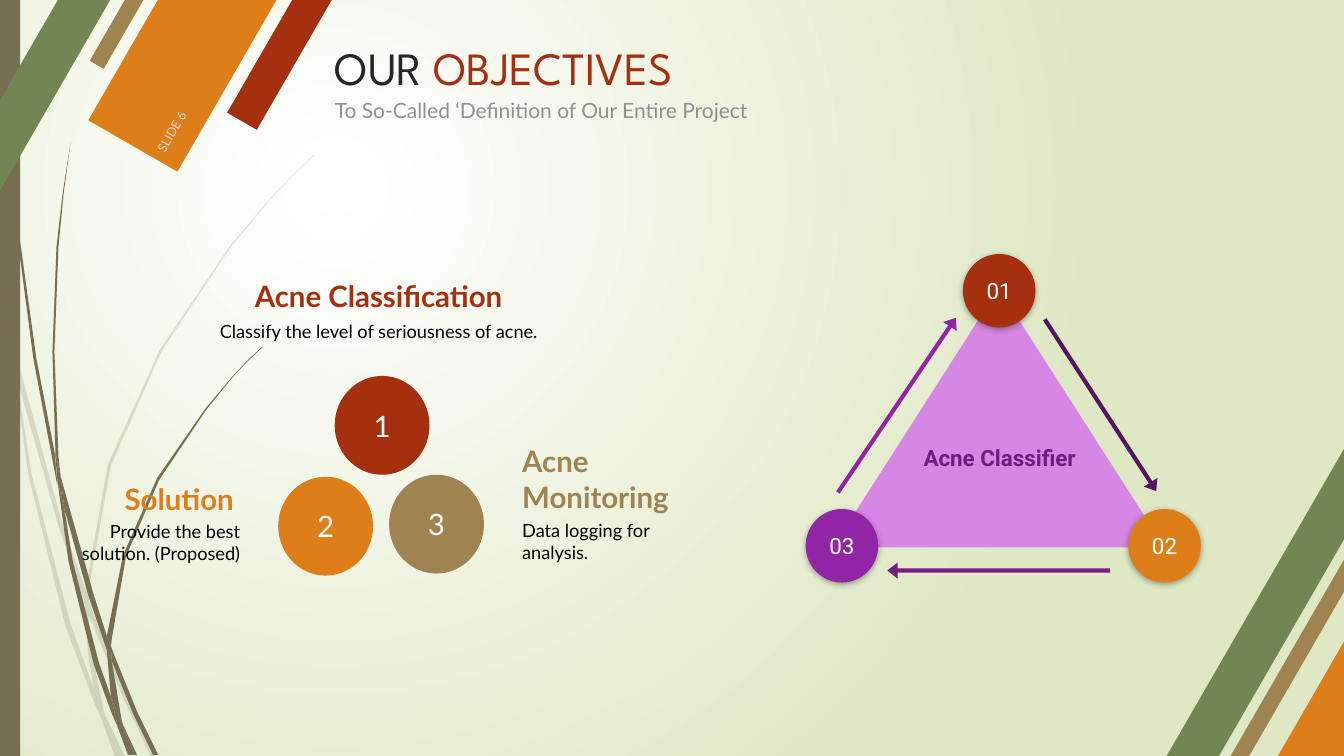
from lxml import etree
from pptx import Presentation
from pptx import util as u
from pptx.dml.color import RGBColor
from pptx.enum import shapes, text
from pptx.oxml import ns

PX = 9144
WIDE, HIGH = 1333, 750
RED, ORANGE, TAN, GREEN, BARK = "A53010", "DE7E18", "9F8351", "728653", "766F54"
PURPLE, BLACK, WHITE = "9225A5", "000000", "FFFFFF"
KIND = shapes.MSO_SHAPE
MID, TOP, LOW = text.MSO_ANCHOR.MIDDLE, text.MSO_ANCHOR.TOP, text.MSO_ANCHOR.BOTTOM
LEFT, MIDST, RIGHT = text.PP_ALIGN.LEFT, text.PP_ALIGN.CENTER, text.PP_ALIGN.RIGHT

FAINT = [
    [(11, 350), (9, 322), (0, 282), (0, 299), (10, 344)],
    [(58, 522), (84, 599), (85, 586), (62, 520), (14, 345), (17, 376)],
    [(92, 607), (88, 596), (88, 610), (123, 694), (150, 751), (155, 751), (127, 692)],
    [(119, 751), (124, 751), (105, 711)],
    [(93, 683), (70, 619), (31, 469), (17, 376), (11, 350), (28, 470), (65, 621),
     (92, 693), (101, 714), (99, 707)],
    [(84, 599), (87, 646), (93, 683), (96, 692), (105, 711), (103, 706), (91, 646),
     (88, 610), (88, 608)],
    [(88, 584), (110, 462), (160, 349), (229, 245), (268, 198), (290, 175), (312, 154),
     (312, 153), (289, 175), (268, 197), (228, 244), (158, 348), (107, 461), (85, 584),
     (85, 586), (88, 596)],
    [(101, 714), (114, 751), (119, 751)],
    [(88, 608), (88, 610), (88, 596), (85, 586), (84, 599)],
    [(96, 692), (93, 683), (99, 707), (101, 714), (119, 751), (105, 711)],
]
DARK = [
    [(7, 110), (17, 233), (33, 355), (56, 477), (57, 481), (55, 457), (55, 453), (36, 355),
     (19, 232), (8, 109), (5, 48), (4, 0), (3, 0), (4, 48)],
    [(88, 592), (106, 645), (106, 633), (106, 631), (93, 590), (60, 472), (64, 505)],
    [(113, 649), (110, 641), (111, 656), (132, 708), (152, 749), (157, 749), (136, 706)],
    [(110, 691), (98, 657), (72, 556), (64, 505), (57, 477), (68, 557), (93, 659),
     (111, 708), (117, 722), (116, 717)],
    [(60, 472), (58, 453), (54, 349), (58, 245), (63, 193), (70, 141), (62, 193),
     (56, 245), (52, 349), (55, 449)],
    [(133, 749), (136, 749), (122, 719)],
    [(57, 477), (64, 505), (60, 472), (55, 449), (55, 453)],
    [(111, 633), (125, 552), (158, 476), (205, 406), (231, 374), (245, 359), (261, 344),
     (260, 344), (245, 358), (231, 373), (204, 405), (156, 474), (122, 551), (106, 631),
     (110, 641)],
    [(117, 722), (127, 749), (131, 749)],
    [(106, 645), (110, 691), (116, 706), (122, 719), (121, 716), (111, 656), (109, 651)],
    [(106, 645), (109, 651), (111, 656), (110, 641), (106, 631), (106, 633)],
    [(116, 706), (110, 691), (116, 717), (117, 722), (130, 749), (133, 749), (122, 719)],
]
BARS = [
    (-95, -477, 1340, 34, RED), (-203, -486, 1339, 102, ORANGE),
    (-239, -524, 1340, 16, TAN), (-388, -364, 1337, 45, GREEN),
    (912, 257, 1339, 102, ORANGE), (860, 222, 1340, 16, TAN), (714, 382, 1337, 45, GREEN),
]
HEADS = [
    ((320, 30, 998, 72), [("OUR ", "262626"), ("OBJECTIVES", RED)], 33, "League Spartan",
     MID, 0, None),
    ((98, 44, 221, 40), [("SLIDE 6", "D8D8D8")], 9, "Lato", MID, 300, None),
    ((320, 89, 998, 39), [("To So-Called ‘Definition of Our Entire Project", "909090")],
     15, "Lato", TOP, 0, 1.07),
]
GOALS = [
    ("1", RED, (332, 373), MIDST, "Acne Classification", (178, 264, 395, 50),
     "Classify the level of seriousness of acne.", (198, 315, 355, 33)),
    ("2", ORANGE, (276, 473), RIGHT, "Solution ", (39, 465, 207, 50),
     "Provide the best solution. (Proposed)", (38, 513, 207, 62)),
    ("3", TAN, (386, 471), LEFT, "Acne Monitoring", (511, 463, 207, 50),
     "Data logging for analysis.", (511, 512, 207, 62)),
]
STEPS = [
    ("02", ORANGE, (1119, 505), (880, 558, 221, 16), 180, "761E86"),
    ("03", PURPLE, (799, 505), (785, 394, 209, 16), 304, PURPLE),
    ("01", RED, (955, 252), (990, 394, 203, 16), 57, "551561"),
]

deck = Presentation()
deck.slide_width, deck.slide_height = WIDE * PX, HIGH * PX
slide = deck.slides.add_slide(deck.slide_layouts[6])


def tint(hue):
    return RGBColor.from_string(hue)


def node(root, tag, **attrs):
    return etree.SubElement(root, ns.qn(tag), attrs)


def paint(part, hue):
    part.fill.solid()
    part.fill.fore_color.rgb = tint(hue)
    part.line.fill.background()
    part.shadow.inherit = False
    return part


def shape(kind, box, hue, turn=0):
    part = slide.shapes.add_shape(kind, *(n * PX for n in box))
    part.rotation = turn
    return paint(part, hue)


def write(part, runs, size, font, align=LEFT, anchor=MID, pad=(7, 3), bold=False, space=None):
    frame = part.text_frame
    frame.word_wrap = True
    frame.vertical_anchor = anchor
    frame.margin_left = frame.margin_right = pad[0] * PX
    frame.margin_top = frame.margin_bottom = pad[1] * PX
    para = frame.paragraphs[0]
    para.alignment, para.line_spacing = align, space
    for word, hue in runs:
        run = para.add_run()
        run.text = word
        run.font.size, run.font.name, run.font.bold = u.Pt(size), font, bold
        run.font.color.rgb = tint(hue)


def label(box, *args, turn=0, **opts):
    part = slide.shapes.add_textbox(*(n * PX for n in box))
    part.rotation = turn
    write(part, *args, **opts)


def blade(dots, faint):
    pen = slide.shapes.build_freeform(*dots[0], scale=PX)
    pen.add_line_segments(dots[1:], close=True)
    part = paint(pen.convert_to_shape(), BARK)
    if faint:
        node(part.element.find(".//" + ns.qn("a:srgbClr")), "a:alpha", val="20000")


back = slide.background.fill
back.gradient()
for stop, hue in zip(back.gradient_stops, (WHITE, "DFE8C4")):
    stop.color.rgb = tint(hue)
grad = slide.element.find(".//" + ns.qn("a:gradFill"))
grad.remove(grad.find(ns.qn("a:lin")))
ring = node(grad, "a:path", path="circle")
node(ring, "a:fillToRect", l="50000", t="50000", r="100000", b="100000")

for group, faint in ((FAINT, True), (DARK, False)):
    for dots in group:
        blade(dots, faint)
shape(KIND.RECTANGLE, (0, 0, 20, HIGH), BARK)
for *box, hue in BARS:
    shape(KIND.RECTANGLE, box, hue, 300)

for box, runs, size, font, anchor, turn, space in HEADS:
    label(box, runs, size, font, anchor=anchor, pad=(12, 6), turn=turn, space=space)

for mark, hue, spot, align, name, box, note, area in GOALS:
    disc = shape(KIND.OVAL, (*spot, 94, 98), hue)
    write(disc, [(mark, WHITE)], 21, "Lato", MIDST)
    label(box, [(name, hue)], 21, "Lato", align, LOW, bold=True)
    label(area, [(note, BLACK)], 13, "Lato", align, TOP)

shape(KIND.ISOSCELES_TRIANGLE, (826, 286, 329, 257), "D686E4")
label((900, 424, 183, 103), [("Acne Classifier", "701C7F")], 16, "Roboto", MIDST, TOP,
      pad=(13, 13), bold=True, space=1.15)
for mark, hue, spot, box, turn, shade in STEPS:
    arrow = shape(KIND.RIGHT_ARROW, box, shade, turn)
    arrow.adjustments[0], arrow.adjustments[1] = 0.26, 0.64
    disc = shape(KIND.OVAL, (*spot, 72, 73), hue)
    write(disc, [(mark, WHITE)], 16, "Roboto", MIDST, pad=(10, 10))
    cast = node(disc.element.spPr.find(ns.qn("a:effectLst")), "a:outerShdw",
                blurRad="57150", dist="19050", dir="5400000", algn="bl", rotWithShape="0")
    node(node(cast, "a:srgbClr", val="212121"), "a:alpha", val="38000")

deck.save("out.pptx")
